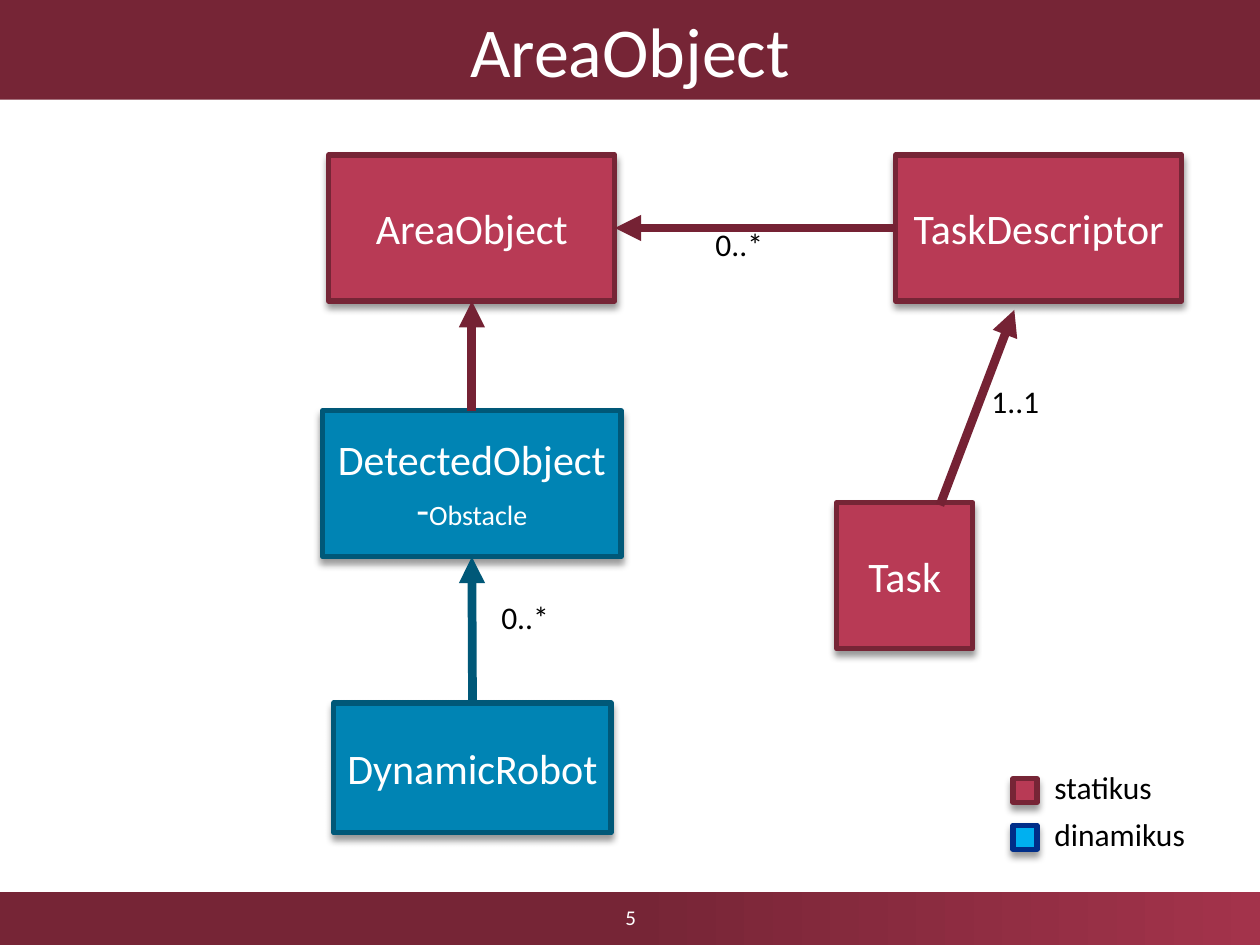
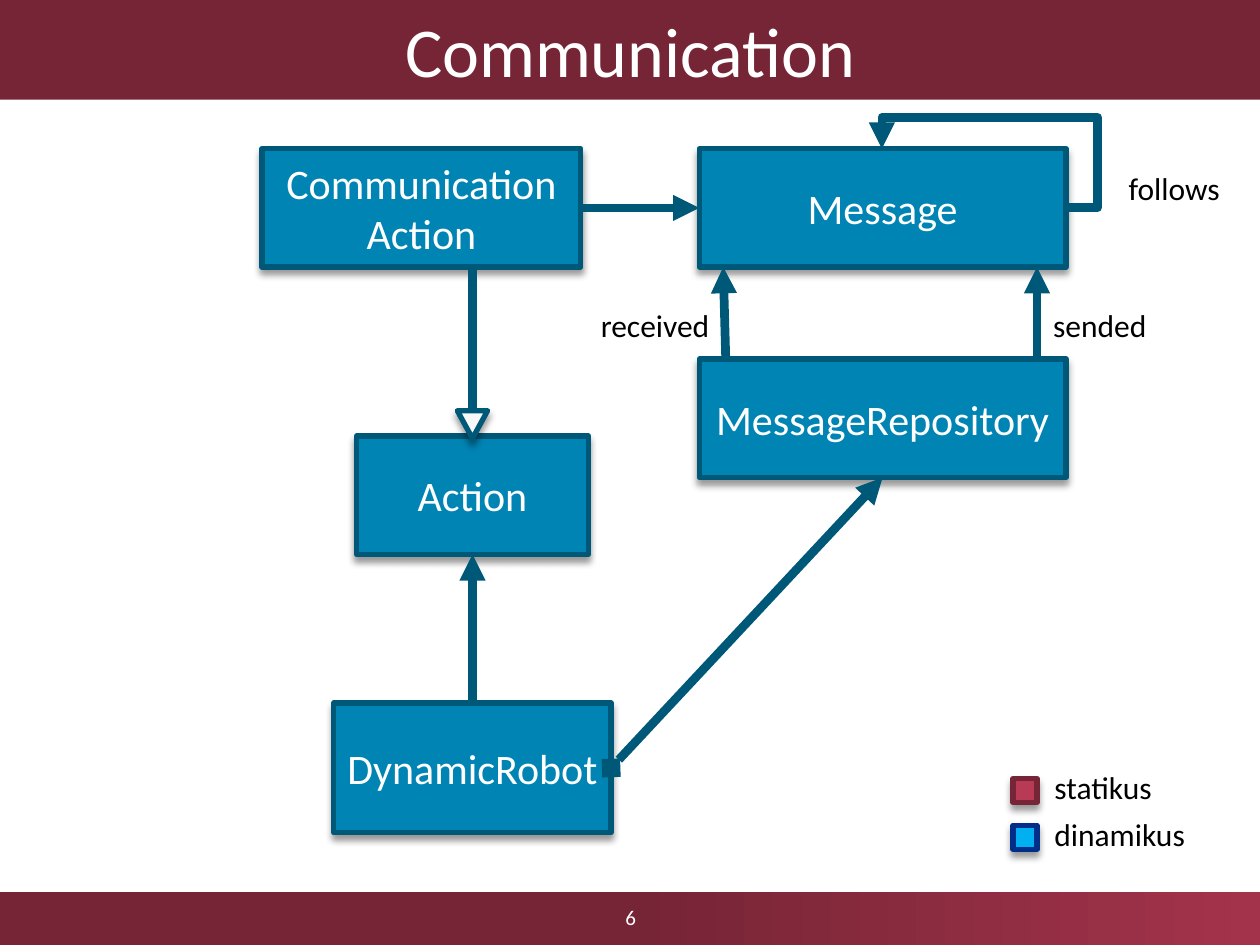
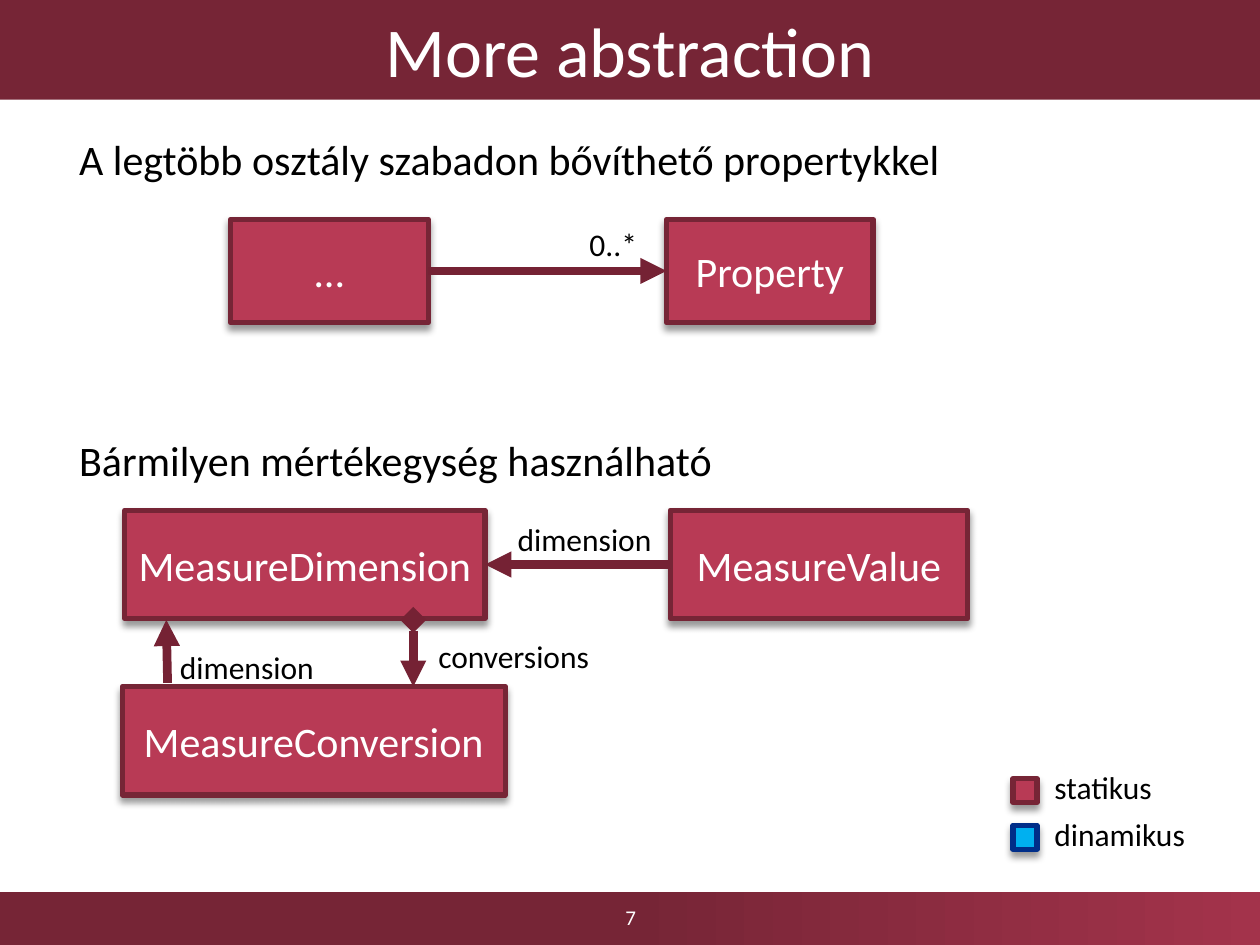
from dataclasses import dataclass
from lxml.etree import SubElement
from pptx import Presentation
from pptx.dml.color import RGBColor as RGB
from pptx.enum.shapes import MSO_CONNECTOR as LINK, MSO_SHAPE as SHAPE
from pptx.enum.text import MSO_ANCHOR as ANCHOR, MSO_AUTO_SIZE as FIT, PP_ALIGN as ALIGN
from pptx.oxml.ns import qn
from pptx.util import Inches, Pt


@dataclass(frozen=True)
class Kind:
    """Colours of one kind of class in the diagrams."""
    fill: RGB
    edge: RGB
    arrow: RGB


@dataclass(frozen=True)
class Theme:
    font: str = "Calibri"
    title_size: int = 40
    box_size: int = 24
    label_size: int = 18
    detail_size: int = 16
    number_size: int = 12
    edge_width: int = 3
    arrow_width: int = 5
    white: RGB = RGB.from_string("FFFFFF")
    black: RGB = RGB.from_string("000000")
    hollow: RGB = RGB.from_string("F8F8F8")
    band: RGB = RGB.from_string("762536")
    band_end: RGB = RGB.from_string("A3334B")
    static: Kind = Kind(*map(RGB.from_string, ("B83A55", "762536", "752234")))
    dynamic: Kind = Kind(*map(RGB.from_string, ("0084B4", "005878", "005878")))
    dynamic_key: Kind = Kind(*map(RGB.from_string, ("00B0F0", "002E89", "002E89")))


THEME = Theme()
STATIC, DYNAMIC = THEME.static, THEME.dynamic
TOP, LEFT, BOTTOM, RIGHT = range(4)  # connection sites of a rectangle


class Deck:
    def __init__(self, first_number):
        self.prs = Presentation()
        self.prs.slide_width, self.prs.slide_height = Inches(10), Inches(7.5)
        self.number = first_number
        self.slide = None

    def set_text(self, frame, text, size, color, align=None):
        paragraph = frame.paragraphs[0]
        paragraph.text = text
        paragraph.alignment = align
        for run in paragraph.runs:
            self.style(run, size, color)

    def style(self, run, size, color):
        run.font.name, run.font.size = THEME.font, Pt(size)
        run.font.color.rgb = color

    def shape(self, preset, left, top, width, height, fill, edge):
        """Outlined shape with a soft shadow below it."""
        shape = self.slide.shapes.add_shape(preset, *map(Inches, (left, top, width, height)))
        shape.fill.solid()
        shape.fill.fore_color.rgb = fill
        shape.line.color.rgb = edge
        shape.line.width = Pt(THEME.edge_width)
        shape.shadow.inherit = False
        effects = shape._element.spPr.find(qn("a:effectLst"))
        shadow = SubElement(effects, qn("a:outerShdw"), blurRad=str(Pt(4)), dist=str(Pt(3)),
                            dir="5400000", rotWithShape="0")
        shade = SubElement(shadow, qn("a:srgbClr"), val=str(THEME.black))
        SubElement(shade, qn("a:alpha"), val="40000")
        return shape

    def box(self, text, left, top, width, height, kind, detail=None):
        box = self.shape(SHAPE.RECTANGLE, left, top, width, height, kind.fill, kind.edge)
        self.set_text(box.text_frame, text, THEME.box_size, THEME.white, ALIGN.CENTER)
        if detail:
            run = box.text_frame.paragraphs[0].add_run()
            run.text = detail
            self.style(run, THEME.detail_size, THEME.white)
        return box

    def label(self, text, left, top, width, height=0.4, size=THEME.label_size):
        label = self.slide.shapes.add_textbox(*map(Inches, (left, top, width, height)))
        label.text_frame.word_wrap = False
        label.text_frame.auto_size = FIT.SHAPE_TO_FIT_TEXT
        self.set_text(label.text_frame, text, size, THEME.black)
        return label

    def arrow(self, start, end, kind, head=None, bend=None):
        """Each end is a point (x, y) or a box with a connection site."""
        glued = [not isinstance(first, (int, float)) for first, _ in (start, end)]
        points = [(0, 0) if glue else tuple(map(Inches, target))
                  for glue, target in zip(glued, (start, end))]
        arrow = self.slide.shapes.add_connector(LINK.ELBOW if bend else LINK.STRAIGHT,
                                                *points[0], *points[1])
        if glued[0]:
            arrow.begin_connect(*start)
        if glued[1]:
            arrow.end_connect(*end)
        arrow.line.color.rgb = kind.arrow
        arrow.line.width = Pt(THEME.arrow_width)
        properties = arrow._element.spPr
        outline = properties.find(qn("a:ln"))
        if head:
            SubElement(outline, qn("a:headEnd"), type=head)
        SubElement(outline, qn("a:tailEnd"), type="triangle")
        SubElement(properties, qn("a:effectLst"))
        if bend:
            geometry = properties.find(qn("a:prstGeom"))
            geometry.set("prst", "bentConnector4")
            guides = geometry.find(qn("a:avLst"))
            if guides is None:
                guides = SubElement(geometry, qn("a:avLst"))
            for index, value in enumerate(bend, 1):
                SubElement(guides, qn("a:gd"), name=f"adj{index}", fmla=f"val {value}")

    def legend(self):
        for row, (text, width, kind) in enumerate((("statikus", 0.98, STATIC),
                                                   ("dinamikus", 1.25, THEME.dynamic_key))):
            drop = 0.37 * row
            self.shape(SHAPE.RECTANGLE, 8.04, 6.18 + drop, 0.19, 0.19, kind.fill, kind.edge)
            self.label(text, 8.27, 6.05 + drop, width)

    def footer(self):
        band = self.slide.shapes.add_shape(SHAPE.RECTANGLE, 0, Inches(7.08), Inches(10), Inches(0.42))
        band.shadow.inherit = False
        band.line.fill.background()
        band.fill.gradient()
        band.fill.gradient_angle = 0
        stops = ((0.5, THEME.band), (1, THEME.band_end))
        for stop, (position, color) in zip(band.fill.gradient_stops, stops):
            stop.position, stop.color.rgb = position, color
        number = self.slide.shapes.add_textbox(*map(Inches, (3.88, 7.08, 2.25, 0.4)))
        number.text_frame.word_wrap = True
        number.text_frame.vertical_anchor = ANCHOR.MIDDLE
        self.set_text(number.text_frame, str(self.number), THEME.number_size, THEME.white, ALIGN.CENTER)

    def new_slide(self, heading):
        self.slide = self.prs.slides.add_slide(self.prs.slide_layouts[5])
        title = self.slide.shapes.title
        title.left, title.top, title.width, title.height = map(Inches, (0, 0, 10, 0.79))
        title.fill.solid()
        title.fill.fore_color.rgb = THEME.band
        title.text_frame.vertical_anchor = ANCHOR.MIDDLE
        self.set_text(title.text_frame, heading, THEME.title_size, THEME.white, ALIGN.CENTER)
        self.footer()
        self.legend()
        self.number += 1


deck = Deck(first_number=5)
ROBOT = ("DynamicRobot", 2.65, 5.58, 2.2, 1.03, DYNAMIC)

# Area objects and tasks
deck.new_slide("AreaObject")
task = deck.box("Task", 6.64, 3.99, 1.08, 1.16, STATIC)
descriptor = deck.box("TaskDescriptor", 7.11, 1.23, 2.27, 1.16, STATIC)
area = deck.box("AreaObject", 2.61, 1.23, 2.27, 1.16, STATIC)
detected = deck.box("DetectedObject\v-", 2.56, 3.26, 2.37, 1.16, DYNAMIC, detail="Obstacle")
robot = deck.box(*ROBOT)
deck.arrow((7.46, 4.01), (8.05, 2.46), STATIC)
deck.arrow((descriptor, LEFT), (area, RIGHT), STATIC)
deck.arrow((robot, TOP), (detected, BOTTOM), DYNAMIC)
deck.arrow((detected, TOP), (area, BOTTOM), STATIC)
task_count = deck.label("1..1", 7.77, 2.98, 0.8)
task_count.text_frame.word_wrap = True
task_count.text_frame.vertical_anchor = ANCHOR.MIDDLE
deck.label("0..*", 5.58, 1.74, 0.58)
deck.label("0..*", 3.88, 4.7, 0.58)

# Messages between robots
deck.new_slide("Communication")
robot = deck.box(*ROBOT)
action = deck.box("Action", 2.83, 3.46, 1.84, 0.94, DYNAMIC)
communication = deck.box("Communication\vAction", 2.08, 1.18, 2.53, 0.94, DYNAMIC)
repository = deck.box("MessageRepository", 5.55, 2.85, 2.91, 0.94, DYNAMIC)
message = deck.box("Message", 5.55, 1.18, 2.91, 0.94, DYNAMIC)
deck.arrow((robot, TOP), (action, BOTTOM), DYNAMIC)
deck.arrow((8.46, 1.65), (7, 1.18), DYNAMIC, bend=(-17200, 152900))
deck.arrow((8.23, 2.86), (8.23, 2.12), DYNAMIC)
deck.arrow((5.76, 2.85), (5.74, 2.12), DYNAMIC)
deck.arrow((communication, RIGHT), (message, LEFT), DYNAMIC)
deck.arrow((3.75, 2.14), (3.75, 3.46), DYNAMIC)
inheritance = deck.shape(SHAPE.ISOSCELES_TRIANGLE, 3.63, 3.26, 0.24, 0.22, THEME.hollow, DYNAMIC.edge)
inheritance._element.spPr.find(qn("a:xfrm")).set("flipV", "1")
deck.label("received", 4.67, 2.38, 1.07)
deck.label("sended", 8.26, 2.38, 0.95)
deck.label("follows", 8.86, 1.29, 0.93)
deck.arrow((robot, RIGHT), (repository, BOTTOM), DYNAMIC, head="diamond")

# Properties and measures
deck.new_slide("More abstraction")
owner = deck.box("…", 1.83, 1.74, 1.57, 0.82, STATIC)
prop = deck.box("Property", 5.29, 1.74, 1.64, 0.82, STATIC)
value = deck.box("MeasureValue", 5.32, 4.05, 2.36, 0.86, STATIC)
dimension = deck.box("MeasureDimension", 0.99, 4.05, 2.86, 0.86, STATIC)
conversion = deck.box("MeasureConversion", 0.97, 5.45, 3.04, 0.86, STATIC)
deck.arrow((owner, RIGHT), (prop, LEFT), STATIC)
deck.arrow((value, LEFT), (dimension, RIGHT), STATIC)
deck.arrow((1.33, 5.42), (1.32, 4.92), STATIC)
deck.arrow((3.28, 4.92), (3.28, 5.45), STATIC, head="diamond")
deck.label("0..*", 4.58, 1.74, 0.58)
deck.label("dimension", 4.01, 4.08, 1.28)
deck.label("dimension", 1.33, 5.09, 1.28)
deck.label("conversions", 3.38, 5.01, 1.41)
deck.label("A legtöbb osztály szabadon bővíthető propertykkel", 0.53, 1.01, 7.09, 0.5, THEME.box_size)
deck.label("Bármilyen mértékegység használható", 0.53, 3.4, 5.27, 0.5, THEME.box_size)

deck.prs.save("out.pptx")
